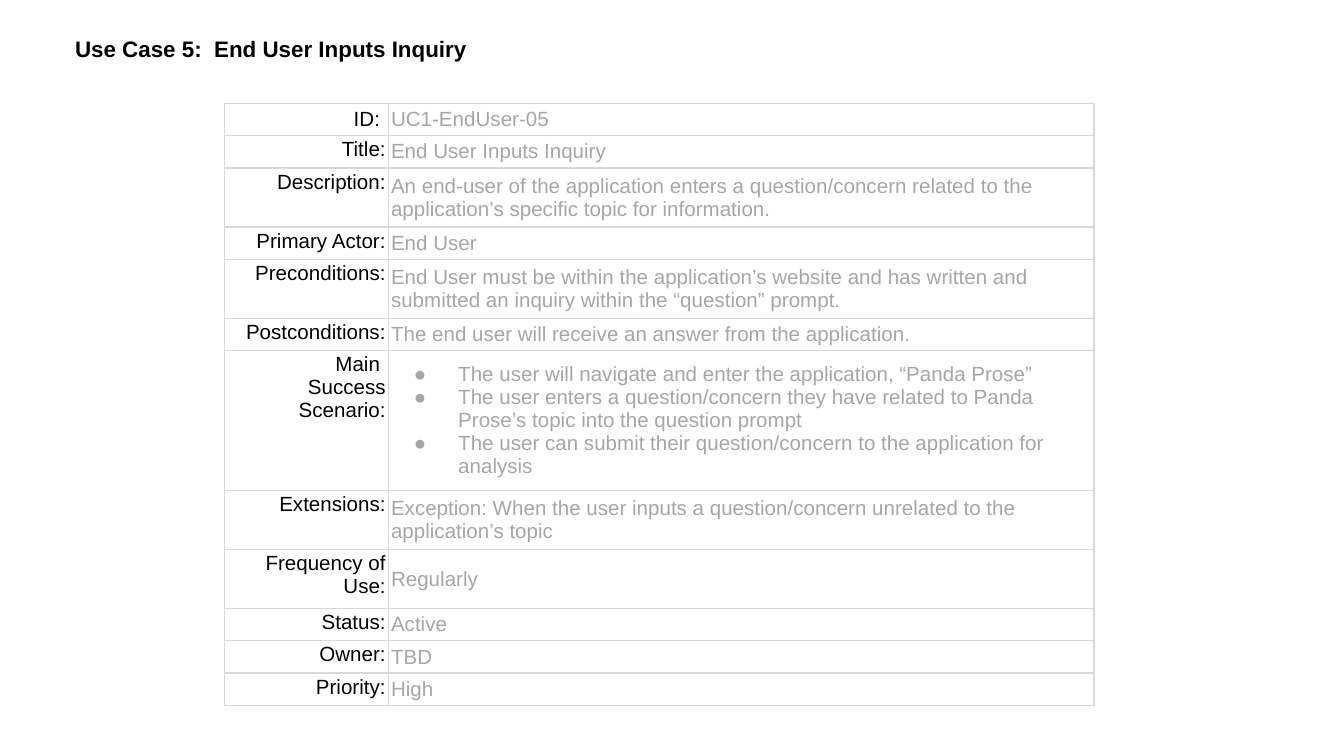
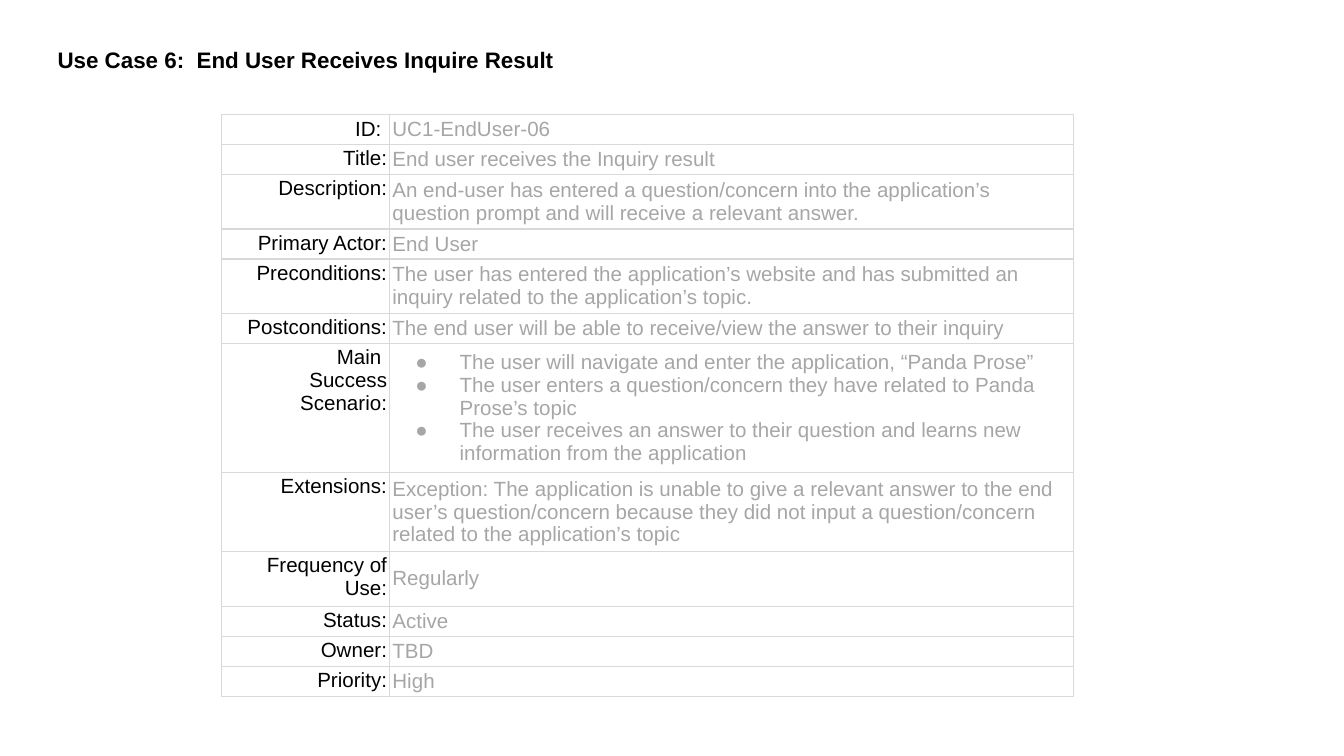
from lxml import etree
from pptx import Presentation
from pptx.dml.color import RGBColor
from pptx.enum.text import MSO_ANCHOR, PP_ALIGN
from pptx.oxml.ns import qn
from pptx.util import Inches, Pt

TOP, MIDDLE = MSO_ANCHOR.TOP, MSO_ANCHOR.MIDDLE
LEFT, RIGHT = PP_ALIGN.LEFT, PP_ALIGN.RIGHT

FONT = "Arial"
COLORS = {"label": "000000", "value": "A6A6A6", "border": "D9D9D9", "cell": "FFFFFF"}
TITLE_SIZE, CELL_SIZE = 12, 11
CELL_INSET = 0.02
FRAME_SIDE = 3.28

# Content: labels shared by both use cases, then one dict per slide
LABELS = ["ID: ", "Title:", "Description:", "Primary Actor:", "Preconditions:",
          "Postconditions:", "Main \vSuccess Scenario:", "Extensions:",
          "Frequency of Use:", "Status:", "Owner:", "Priority:"]
CLOSING = ["Regularly", "Active", "TBD", "High"]

USE_CASES = [
    {
        "title": "Use Case 5:  End User Inputs Inquiry",
        "title_box": (0.46, 0.16, 9.05, 5.35),
        "title_inset": 0.29,
        "table_at": (1.67, 0.77),
        "columns": (1.22, 5.25),
        # Row height follows the number of text lines
        "heights": [0.2 * n + 0.04 for n in (1, 1, 2, 1, 2, 1, 5, 2, 2, 1, 1, 1)],
        "values": [
            "UC1-EndUser-05",
            "End User Inputs Inquiry",
            "An end-user of the application enters a question/concern related to the "
            "application’s specific topic for information.",
            "End User",
            "End User must be within the application’s website and has written and "
            "submitted an inquiry within the “question” prompt.",
            "The end user will receive an answer from the application.",
            ["The user will navigate and enter the application, “Panda Prose”",
             "The user enters a question/concern they have related to Panda Prose’s "
             "topic into the question prompt",
             "The user can submit their question/concern to the application for analysis"],
            "Exception: When the user inputs a question/concern unrelated to the "
            "application’s topic",
        ] + CLOSING,
    },
    {
        "title": "Use Case 6:  End User Receives Inquire Result",
        "title_box": (0.33, 0.24, 9.37, 5.27),
        "title_inset": 0.1,
        "table_at": (1.65, 0.85),
        "columns": (1.25, 5.09),
        # Minimal rows grow to fit their text
        "heights": [0.01] * len(LABELS),
        "values": [
            "UC1-EndUser-06",
            "End user receives the Inquiry result",
            "An end-user has entered a question/concern into the application’s "
            "question prompt and will receive a relevant answer.",
            "End User",
            "The user has entered the application’s website and has submitted an "
            "inquiry related to the application’s topic.",
            "The end user will be able to receive/view the answer to their inquiry",
            ["The user will navigate and enter the application, “Panda Prose”",
             "The user enters a question/concern they have related to Panda Prose’s topic",
             "The user receives an answer to their question and learns new information "
             "from the application"],
            "Exception: The application is unable to give a relevant answer to the end "
            "user’s question/concern because they did not input a question/concern "
            "related to the application’s topic",
        ] + CLOSING,
    },
]


def style_runs(p, size, color, bold=False):
    for r in p.runs:
        r.font.name = FONT
        r.font.size = Pt(size)
        r.font.bold = bold
        r.font.color.rgb = RGBColor.from_string(COLORS[color])


def add_bullet(p):
    pPr = p._p.get_or_add_pPr()
    pPr.set("marL", str(Inches(0.5)))
    pPr.set("indent", str(Inches(-0.33)))
    color = etree.SubElement(pPr, qn("a:buClr"))
    etree.SubElement(color, qn("a:srgbClr"), val=COLORS["value"])
    etree.SubElement(pPr, qn("a:buSzPts"), val=str(CELL_SIZE * 100))
    etree.SubElement(pPr, qn("a:buFont"), typeface=FONT)
    etree.SubElement(pPr, qn("a:buChar"), char="●")


def add_borders(cell):
    tcPr = cell._tc.get_or_add_tcPr()
    for side in ("a:lnL", "a:lnR", "a:lnT", "a:lnB"):
        ln = etree.SubElement(tcPr, qn(side), w=str(Pt(0.75)))
        fill = etree.SubElement(ln, qn("a:solidFill"))
        etree.SubElement(fill, qn("a:srgbClr"), val=COLORS["border"])


def fill_cell(cell, content, color, align, anchor):
    add_borders(cell)
    cell.fill.solid()
    cell.fill.fore_color.rgb = RGBColor.from_string(COLORS["cell"])
    cell.margin_left = cell.margin_right = Inches(CELL_INSET)
    cell.margin_top = cell.margin_bottom = Inches(CELL_INSET)
    cell.vertical_anchor = anchor
    bulleted = isinstance(content, list)
    tf = cell.text_frame
    tf.text = "\n".join(content) if bulleted else content
    for p in tf.paragraphs:
        p.alignment = align
        style_runs(p, CELL_SIZE, color)
        if bulleted:
            add_bullet(p)


def add_title(slide, case):
    sp = slide.shapes.add_textbox(*map(Inches, case["title_box"]))
    tf = sp.text_frame
    tf.word_wrap = True
    tf.margin_left = tf.margin_right = Inches(0.1)
    tf.margin_top = tf.margin_bottom = Inches(case["title_inset"])
    tf.text = case["title"]
    style_runs(tf.paragraphs[0], TITLE_SIZE, "label", bold=True)


def add_use_case_table(slide, case):
    left, top = case["table_at"]
    side = Inches(FRAME_SIDE)
    frame = slide.shapes.add_table(len(LABELS), 2, Inches(left), Inches(top), side, side)
    table = frame.table
    table.first_row = table.horz_banding = False
    for column, width in zip(table.columns, case["columns"]):
        column.width = Inches(width)
    for i, (label, value) in enumerate(zip(LABELS, case["values"])):
        table.rows[i].height = Inches(case["heights"][i])
        fill_cell(table.cell(i, 0), label, "label", RIGHT, TOP if i else MIDDLE)
        fill_cell(table.cell(i, 1), value, "value", LEFT, MIDDLE)
    # Row and column changes resize the frame, so its size is set last
    frame.width = frame.height = side


def main():
    prs = Presentation()
    prs.slide_width = Inches(10)
    prs.slide_height = prs.slide_width * 9 // 16
    for case in USE_CASES:
        slide = prs.slides.add_slide(prs.slide_layouts[6])
        add_title(slide, case)
        add_use_case_table(slide, case)
    prs.save("out.pptx")


if __name__ == "__main__":
    main()
